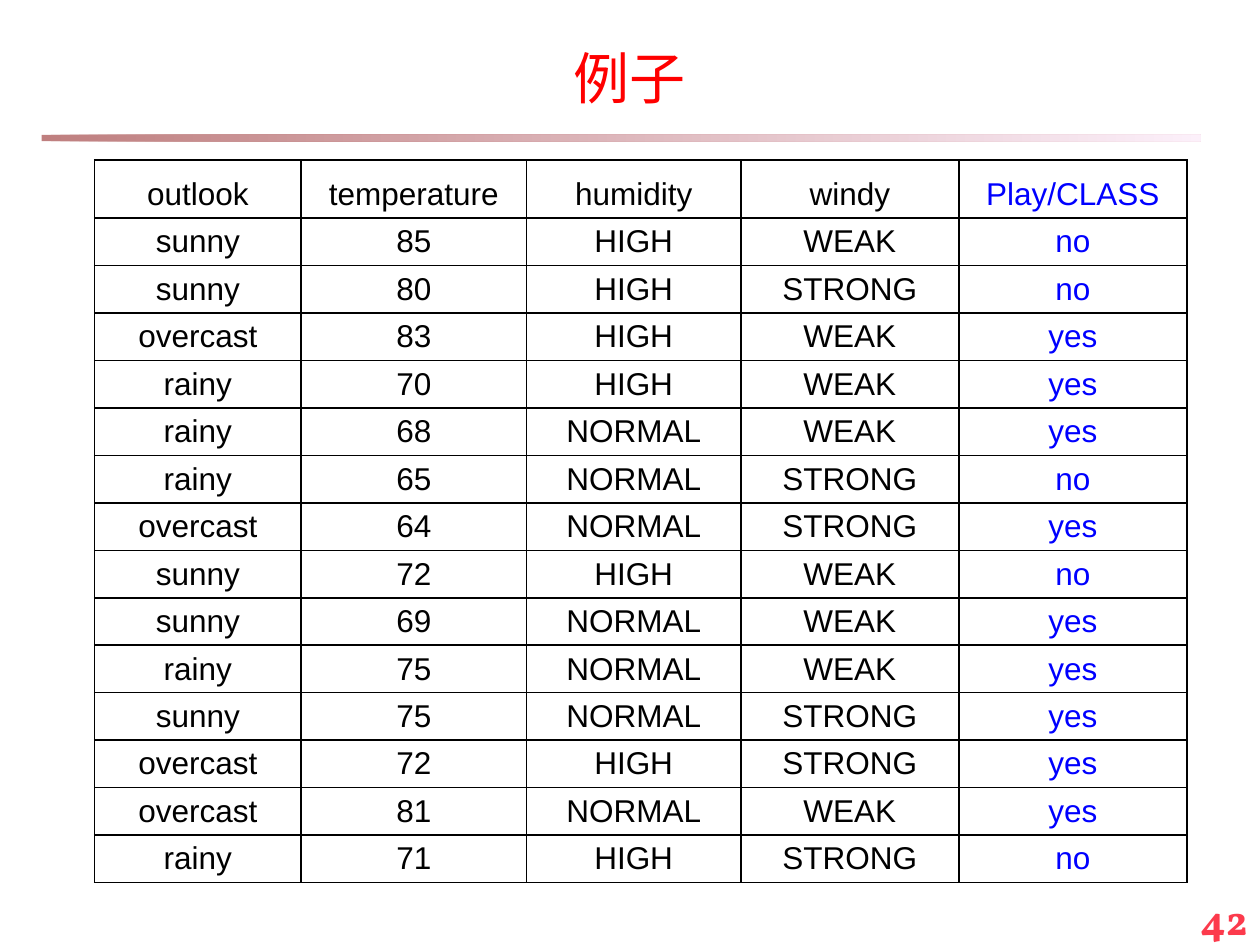
from dataclasses import dataclass

from lxml import etree
from pptx import Presentation
from pptx import util as u
from pptx.dml.color import RGBColor
from pptx.enum import shapes, text
from pptx.oxml.ns import qn

WIDTH, HEIGHT = 10, 7.5
COLORS = {"title": "FF0000", "text": "000000", "class": "0000FF", "number": "FC3A4C",
          "bar_start": "800000", "bar_end": "FAE2F6", "border": "000000"}
COLUMN_WIDTHS = [1.64, 1.79, 1.7, 1.73, 1.81]
HEADER_HEIGHT, TABLE_HEIGHT = 0.46, 5.74
WEATHER = """outlook temperature humidity windy Play/CLASS
sunny 85 HIGH WEAK no
sunny 80 HIGH STRONG no
overcast 83 HIGH WEAK yes
rainy 70 HIGH WEAK yes
rainy 68 NORMAL WEAK yes
rainy 65 NORMAL STRONG no
overcast 64 NORMAL STRONG yes
sunny 72 HIGH WEAK no
sunny 69 NORMAL WEAK yes
rainy 75 NORMAL WEAK yes
sunny 75 NORMAL STRONG yes
overcast 72 HIGH STRONG yes
overcast 81 NORMAL WEAK yes
rainy 71 HIGH STRONG no"""


@dataclass
class Box:
    """A place on the slide, as shares of its width and height."""
    left: float
    top: float
    width: float
    height: float

    def lengths(self) -> list[u.Emu]:
        return [u.Inches(share * side) for share, side in
                zip((self.left, self.top, self.width, self.height), (WIDTH, HEIGHT) * 2)]


@dataclass
class Style:
    font: str
    size: float
    color: str
    align: text.PP_ALIGN = text.PP_ALIGN.CENTER
    bold: bool = False


TITLE = Style("Noto Sans CJK SC", 32, "title")
NUMBER = Style("Vollkorn", 24, "number", text.PP_ALIGN.RIGHT, True)
CELL = Style("Arial", 18, "text")
CLASS_CELL = Style("Arial", 18, "class")


def write(text_frame, words: str, style: Style) -> None:
    text_frame.text = words
    paragraph = text_frame.paragraphs[0]
    paragraph.alignment = style.align
    for run in paragraph.runs:
        run.font.name, run.font.size, run.font.bold = style.font, u.Pt(style.size), style.bold
        run.font.color.rgb = RGBColor.from_string(COLORS[style.color])
        etree.SubElement(run.font._element, qn("a:ea"), typeface=style.font)


def add_bar(slide, box: Box) -> None:
    bar = slide.shapes.add_shape(shapes.MSO_SHAPE.RECTANGLE, *box.lengths())
    bar.shadow.inherit = False
    bar.line.fill.background()
    bar.fill.gradient()
    bar.fill.gradient_angle = 0
    for stop, name in zip(bar.fill.gradient_stops, ("bar_start", "bar_end")):
        stop.color.rgb = RGBColor.from_string(COLORS[name])
    for color in bar._element.spPr.find(qn("a:gradFill")).iter(qn("a:srgbClr")):
        etree.SubElement(color, qn("a:alpha"), val="50000")


def add_borders(cell) -> None:
    properties = cell._tc.get_or_add_tcPr()
    for position, side in enumerate(("lnL", "lnR", "lnT", "lnB")):
        line = etree.Element(qn(f"a:{side}"), w=str(u.Pt(1)))
        fill = etree.SubElement(line, qn("a:solidFill"))
        etree.SubElement(fill, qn("a:srgbClr"), val=COLORS["border"])
        properties.insert(position, line)


def format_cell(cell, words: str, style: Style) -> None:
    write(cell.text_frame, words, style)
    cell.vertical_anchor = text.MSO_ANCHOR.BOTTOM
    cell.fill.background()
    paragraph = cell.text_frame.paragraphs[0]
    paragraph.line_spacing = 0.9
    indent = u.Inches(0.38)
    properties = paragraph._p.get_or_add_pPr()
    properties.set("marL", str(indent))
    properties.set("indent", str(-indent))
    add_borders(cell)


def add_weather_table(slide, box: Box) -> None:
    rows = [line.split() for line in WEATHER.splitlines()]
    table = slide.shapes.add_table(len(rows), len(rows[0]), *box.lengths()).table
    table.first_row = table.horz_banding = False
    for column, width in zip(table.columns, COLUMN_WIDTHS):
        column.width = u.Inches(width)
    body_height = (TABLE_HEIGHT - HEADER_HEIGHT) / (len(rows) - 1)
    for index, values in enumerate(rows):
        table.rows[index].height = u.Inches(body_height if index else HEADER_HEIGHT)
        for column, value in enumerate(values):
            is_class = column == len(values) - 1
            format_cell(table.cell(index, column), value, CLASS_CELL if is_class else CELL)


def main() -> None:
    presentation = Presentation()
    presentation.slide_width, presentation.slide_height = u.Inches(WIDTH), u.Inches(HEIGHT)
    slide = presentation.slides.add_slide(presentation.slide_layouts[5])

    # Title
    title = slide.shapes.title
    title.left, title.top, title.width, title.height = Box(0, 0.1 / HEIGHT, 1, 0.136).lengths()
    write(title.text_frame, "例子", TITLE)
    title.text_frame.vertical_anchor = text.MSO_ANCHOR.MIDDLE

    # Rule under the title and slide number
    add_bar(slide, Box(0.033, 1.07 / HEIGHT, 0.92, 0.05 / HEIGHT))
    number = slide.shapes.add_textbox(*Box(0.767, 7.04 / HEIGHT, 0.233, 0.44 / HEIGHT).lengths())
    number.text_frame.word_wrap = True
    write(number.text_frame, "42", NUMBER)

    # Weather examples
    add_weather_table(slide, Box(0.075, 1.27 / HEIGHT, sum(COLUMN_WIDTHS) / WIDTH,
                                 TABLE_HEIGHT / HEIGHT))
    presentation.save("out.pptx")


if __name__ == "__main__":
    main()
